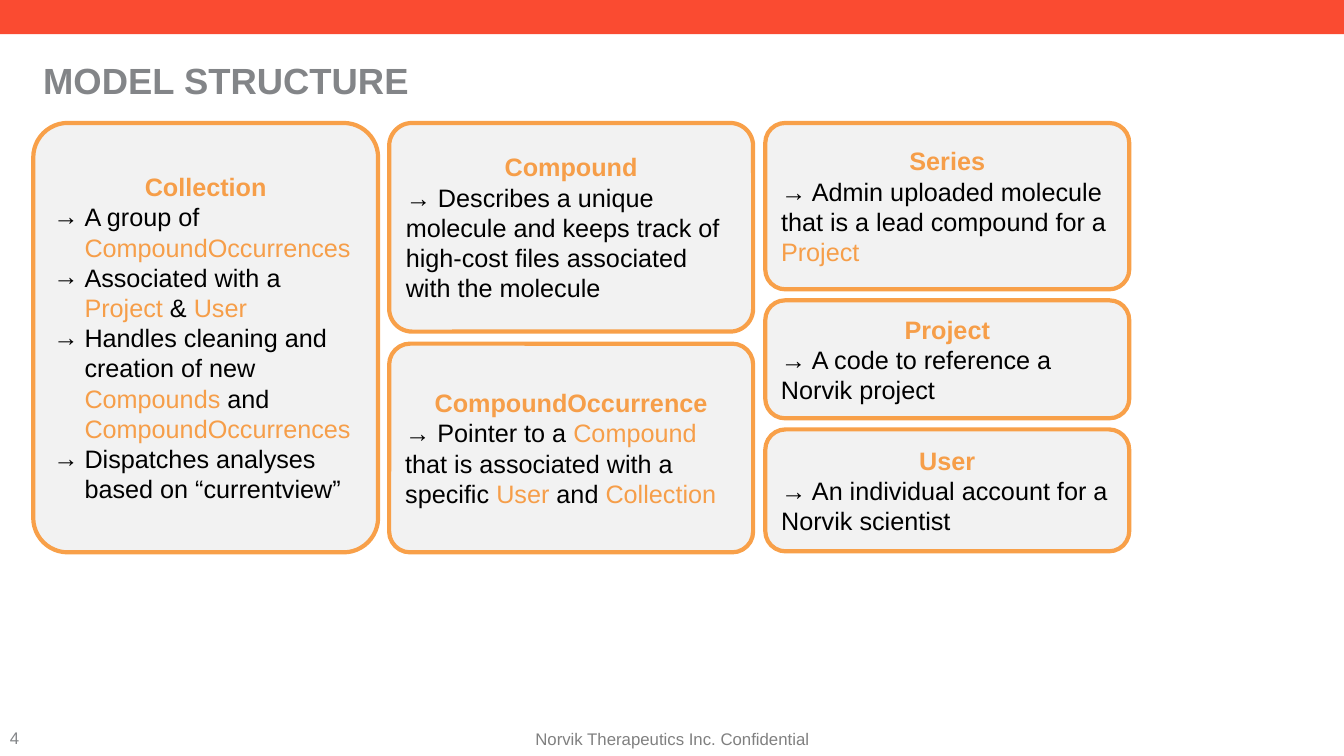
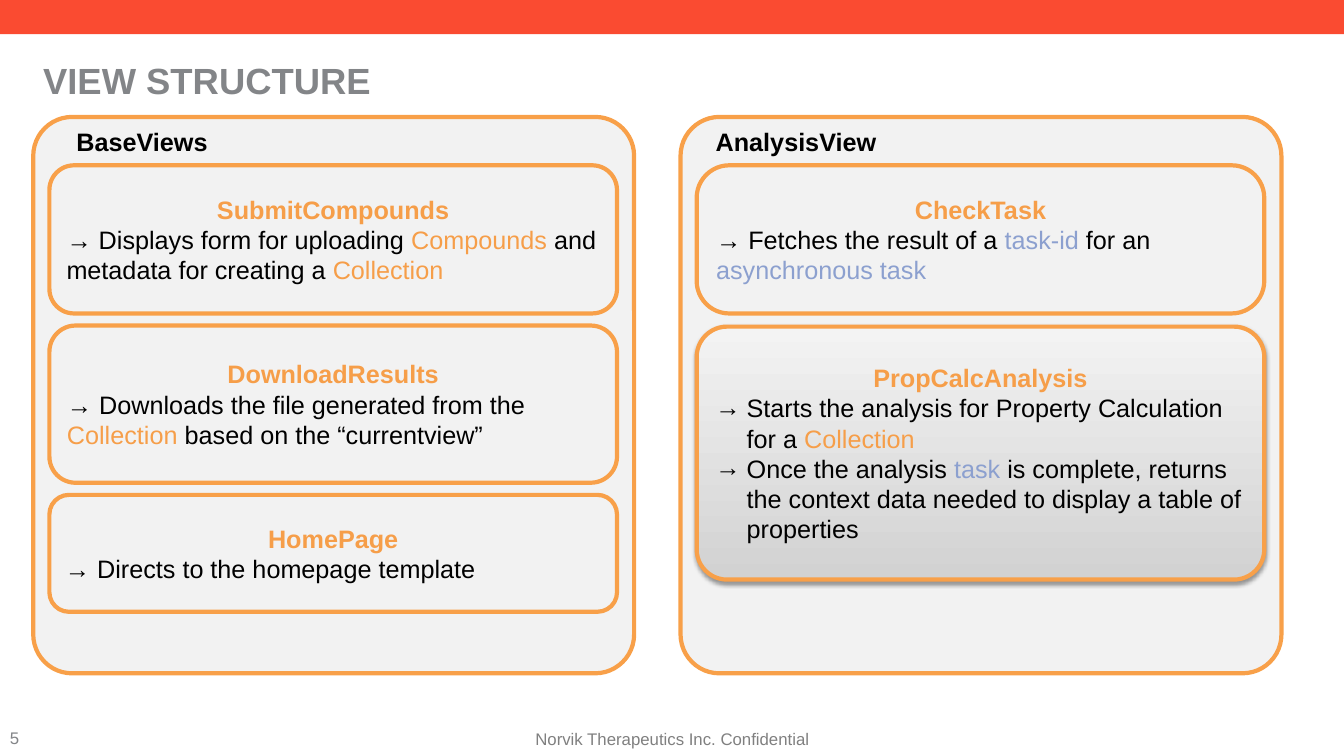
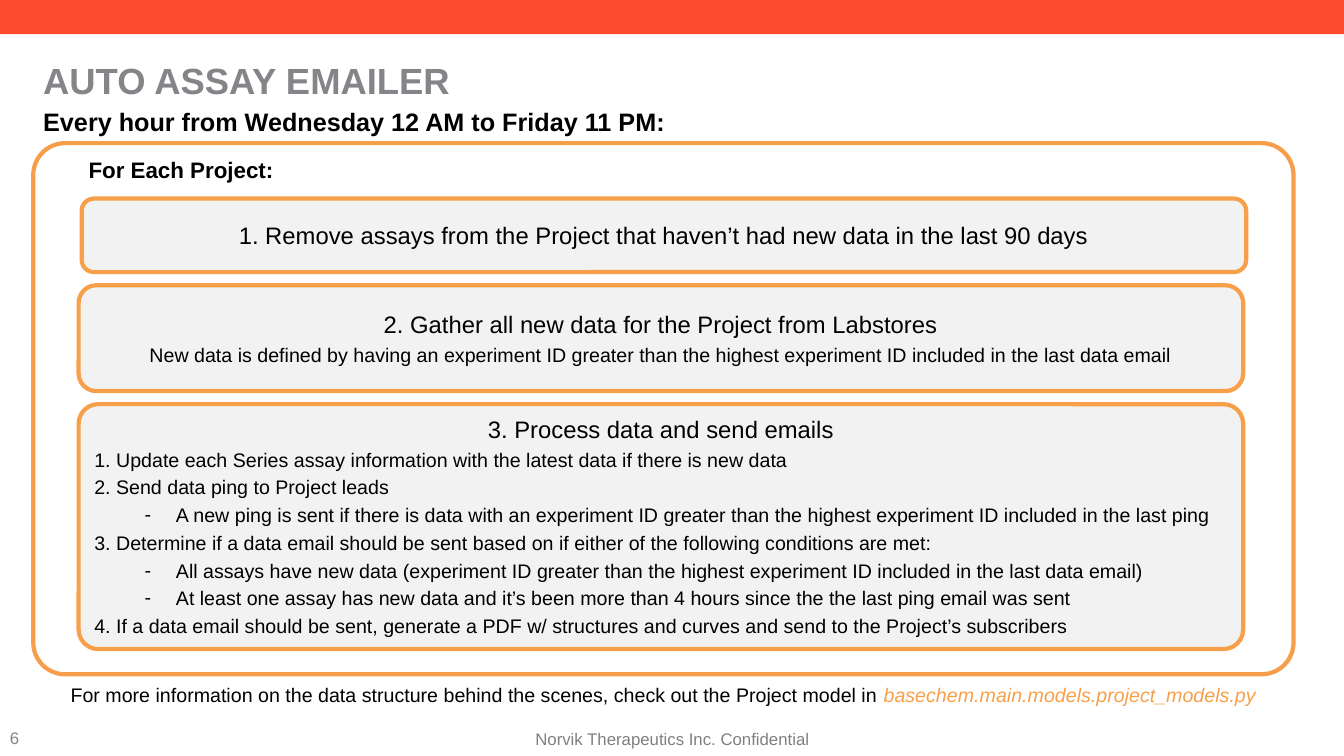
from lxml import etree
from pptx import Presentation
from pptx.dml.color import RGBColor
from pptx.enum.shapes import MSO_SHAPE
from pptx.enum.text import MSO_ANCHOR, PP_ALIGN
from pptx.oxml.ns import qn
from pptx.util import Inches, Pt

RECT, ROUNDED = MSO_SHAPE.RECTANGLE, MSO_SHAPE.ROUNDED_RECTANGLE
LEFT, CENTER = PP_ALIGN.LEFT, PP_ALIGN.CENTER
TOP, MIDDLE = MSO_ANCHOR.TOP, MSO_ANCHOR.MIDDLE

FONT = "Arial"
RED, GRAY, FOOTER_GRAY = "FA4B31", "838588", "808080"
ORANGE, BORDER, BLUE = "F69E49", "F8A049", "8CA0CF"
BLACK, WHITE, PANEL = "000000", "FFFFFF", "F2F2F2"
TASK_TERMS = {"task", "task-id", "asynchronous task"}
ROUNDING = 0.1667
rgb = RGBColor.from_string


def add_box(slide, left, top, width, height, kind=None, fill=PANEL,
            line=BORDER, corner=ROUNDING, anchor=MIDDLE):
    """Add a preset shape, or a text box if no kind is given."""
    place = [Inches(v) for v in (left, top, width, height)]
    if kind is None:
        shape = slide.shapes.add_textbox(*place)
    else:
        shape = slide.shapes.add_shape(kind, *place)
        shape.shadow.inherit = False
        shape.fill.solid()
        shape.fill.fore_color.rgb = rgb(fill)
        if line:
            shape.line.color.rgb = rgb(line)
            shape.line.width = Pt(3)
        else:
            shape.line.fill.background()
    if kind == ROUNDED:
        shape.adjustments[0] = corner
    shape.text_frame.word_wrap = True
    shape.text_frame.vertical_anchor = anchor
    return shape


def write(shape, text, size=18, color=BLACK, bold=False, align=LEFT,
          bullet=None, indent=0.31, after=0, accent=ORANGE, accent_italic=False):
    """Add one paragraph; parts between | marks take the accent colour."""
    frame = shape.text_frame
    first = frame.paragraphs[0]
    paragraph = frame.add_paragraph() if first.runs else first
    paragraph.alignment = align
    paragraph.space_after = Pt(after)
    if bullet:
        properties = paragraph._p.get_or_add_pPr()
        properties.set("marL", str(Inches(indent)))
        properties.set("indent", str(-Inches(0.31)))
        etree.SubElement(properties, qn("a:buFont")).set("typeface", FONT)
        etree.SubElement(properties, qn("a:buChar")).set("char", bullet)
    for index, part in enumerate(text.split("|")):
        if not part:
            continue
        marked = index % 2 == 1
        run = paragraph.add_run()
        run.text = part
        run.font.name = FONT
        run.font.size = Pt(size)
        run.font.bold = bold
        run.font.italic = marked and accent_italic
        marked_color = BLUE if part in TASK_TERMS else accent
        run.font.color.rgb = rgb(marked_color if marked else color)


deck = Presentation()
deck.slide_width, deck.slide_height = Inches(13.33), Inches(7.5)

# Band, title, footer and number on every slide
slides = []
titles = ["MODEL STRUCTURE", "VIEW STRUCTURE", "AUTO ASSAY EMAILER"]
for number, title in enumerate(titles, 4):
    slide = deck.slides.add_slide(deck.slide_layouts[6])
    add_box(slide, 0, 0, 13.33, 0.34, RECT, fill=RED, line=None)
    write(add_box(slide, 0.33, 0.5, 12.63, 0.58), title, size=26, color=GRAY, bold=True)
    write(add_box(slide, 4.56, 7.17, 4.22, 0.32), "Norvik Therapeutics Inc. Confidential",
          size=12, color=FOOTER_GRAY, align=CENTER)
    write(add_box(slide, 0, 7.17, 1, 0.33, anchor=TOP), str(number), size=12, color=GRAY)
    slides.append(slide)
models, views, emailer = slides

# View groups
for left, label_left, label in [(0.33, 0.66, "BaseViews"), (6.75, 7, "AnalysisView")]:
    add_box(views, left, 1.16, 5.96, 5.52, ROUNDED, corner=0.07)
    write(add_box(views, label_left, 1.2, 3.3, 0.4, anchor=TOP), label, bold=True)

# Columns of cards: slide, left, top, width, gap, then height, corner, heading, lines
columns = [
    (models, 0.33, 1.22, 3.42, 0.11, [
        (4.26, 0.1, "Collection", [
            "A group of |CompoundOccurrences|",
            "Associated with a |Project |& |User|",
            "Handles cleaning and creation of new |Compounds| and |CompoundOccurrences|",
            "Dispatches analyses based on “currentview”"]),
    ]),
    (models, 3.86, 1.22, 3.61, 0.12, [
        (2.07, 0.11, "Compound", [
            "Describes a unique molecule and keeps track of high-cost files "
            "associated with the molecule"]),
        (2.07, 0.1, "CompoundOccurrence", [
            "Pointer to a |Compound| that is associated with a specific "
            "|User| and |Collection|"]),
    ]),
    (models, 7.59, 1.22, 3.61, 0.11, [
        (1.65, 0.12, "Series", [
            "Admin uploaded molecule that is a lead compound for a |Project|"]),
        (1.17, ROUNDING, "Project", ["A code to reference a Norvik project"]),
        (1.21, ROUNDING, "User", ["An individual account for a Norvik scientist"]),
    ]),
    (views, 0.49, 1.64, 5.63, 0.12, [
        (1.47, ROUNDING, "SubmitCompounds", [
            "Displays form for uploading |Compounds| and metadata for creating a |Collection|"]),
        (1.56, ROUNDING, "DownloadResults", [
            "Downloads the file generated from the |Collection| based on the “currentview”"]),
        (1.16, ROUNDING, "HomePage", ["Directs to the homepage template"]),
    ]),
    (views, 6.91, 1.64, 5.63, 0.13, [
        (1.47, 0.22, "CheckTask", [
            "Fetches the result of a |task-id| for an |asynchronous task|"]),
        (2.51, 0.12, "PropCalcAnalysis", [
            "Starts the analysis for Property Calculation for a |Collection|",
            "Once the analysis |task| is complete, returns the context data needed "
            "to display a table of properties"]),
    ]),
]
for slide, left, top, width, gap, cards in columns:
    for height, corner, heading, lines in cards:
        card = add_box(slide, left, top, width, height, ROUNDED, corner=corner)
        write(card, heading, color=ORANGE, bold=True, align=CENTER)
        for line in lines:
            if len(lines) > 1:
                write(card, line, bullet="→")
            else:
                write(card, "→ " + line)
        top += height + gap

# The last view card, PropCalcAnalysis, has a gradient and a soft shadow
card.fill.gradient()
card.fill.gradient_angle = 90
for stop, shade in zip(card.fill.gradient_stops, ["D2D2D2", "F3F3F3"]):
    stop.color.rgb = rgb(shade)
effects = card._element.spPr.find(qn("a:effectLst"))
shadow = etree.SubElement(effects, qn("a:outerShdw"), blurRad=str(Pt(3.1)),
                          dist=str(Pt(1.6)), dir="5400000", rotWithShape="0")
shadow_color = etree.SubElement(shadow, qn("a:srgbClr"), val=BLACK)
etree.SubElement(shadow_color, qn("a:alpha"), val="38000")

# Emailer: schedule and frame
write(add_box(emailer, 0.33, 1.01, 6.55, 0.4, anchor=TOP),
      "Every hour from Wednesday 12 AM to Friday 11 PM:", bold=True)
add_box(emailer, 0.33, 1.42, 12.5, 5.27, ROUNDED, fill=WHITE, line=ORANGE, corner=0.06)
write(add_box(emailer, 0.78, 1.5, 2.33, 0.37, anchor=TOP),
      "For Each Project:", size=16, bold=True)

# Emailer: the three steps; lines that start with "- " are sub-points
steps = [
    (0.81, 0.73, ROUNDING, MIDDLE, 0, LEFT,
     "1. Remove assays from the Project that haven’t had new data in the last 90 days", []),
    (0.78, 1.05, ROUNDING, MIDDLE, 3, CENTER,
     "2. Gather all new data for the Project from Labstores", [
         "New data is defined by having an experiment ID greater than the highest "
         "experiment ID included in the last data email"]),
    (0.78, 2.43, 0.08, TOP, 3, LEFT, "3. Process data and send emails", [
        "1. Update each Series assay information with the latest data if there is new data",
        "2. Send data ping to Project leads",
        "- A new ping is sent if there is data with an experiment ID greater than the "
        "highest experiment ID included in the last ping",
        "3. Determine if a data email should be sent based on if either of the "
        "following conditions are met:",
        "- All assays have new data (experiment ID greater than the highest "
        "experiment ID included in the last data email)",
        "- At least one assay has new data and it’s been more than 4 hours since the "
        "the last ping email was sent",
        "4. If a data email should be sent, generate a PDF w/ structures and curves "
        "and send to the Project’s subscribers"]),
]
top = 1.97
for left, height, corner, anchor, after, align, heading, lines in steps:
    step = add_box(emailer, left, top, 11.55, height, ROUNDED, corner=corner, anchor=anchor)
    write(step, heading, size=17, align=CENTER, after=after)
    for line in lines:
        bullet = "-" if line.startswith("- ") else None
        write(step, line.removeprefix("- "), size=14, align=align, bullet=bullet,
              indent=0.81, after=after)
    top += height + 0.13

# Emailer: pointer to the code
write(add_box(emailer, 0.33, 6.73, 12.5, 0.34, anchor=TOP),
      "For more information on the data structure behind the scenes, check out the "
      "Project model in |basechem.main.models.project_models.py|",
      size=14, align=CENTER, accent=BORDER, accent_italic=True)

deck.save("out.pptx")
